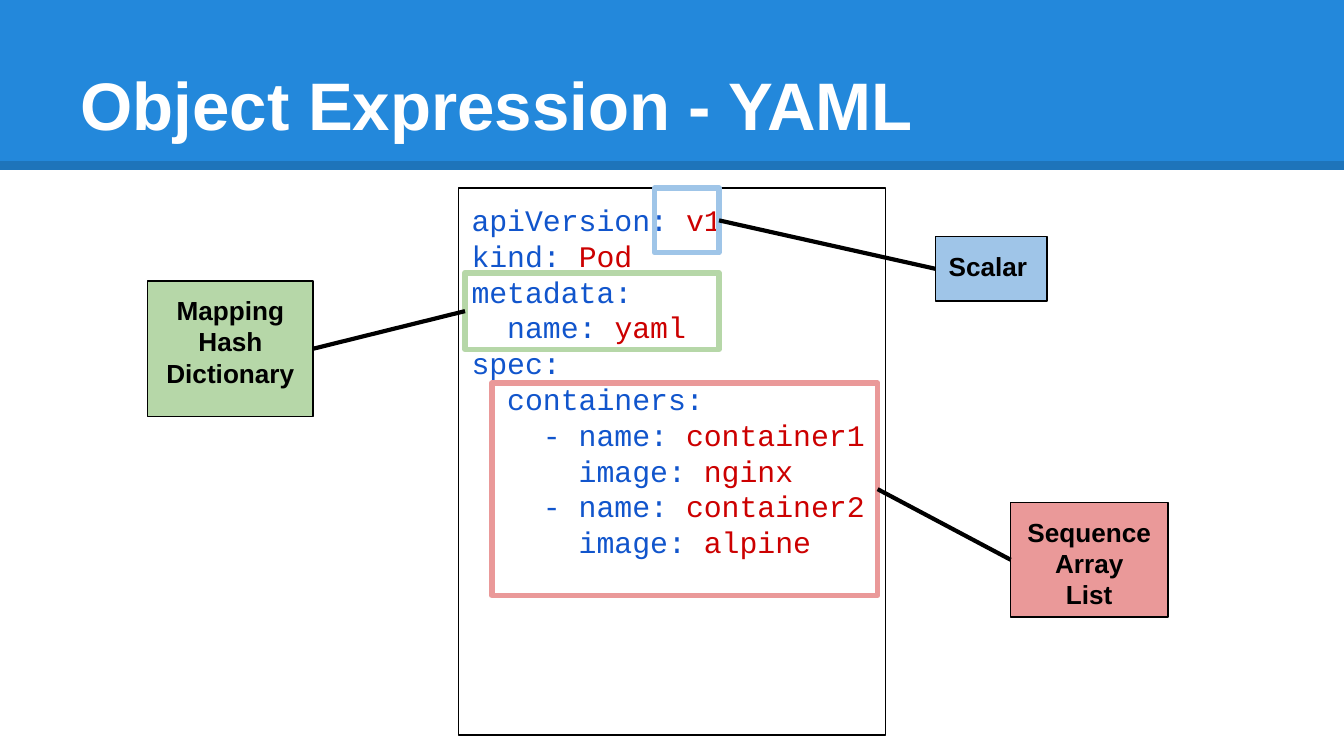
from pptx import Presentation
from pptx.dml.color import RGBColor
from pptx.enum.shapes import MSO_CONNECTOR, MSO_SHAPE
from pptx.enum.text import MSO_ANCHOR, PP_ALIGN
from pptx.oxml.ns import qn
from pptx.util import Inches, Pt
from lxml import etree

RECT, LINE = MSO_SHAPE.RECTANGLE, MSO_CONNECTOR.STRAIGHT
TOP, BOTTOM = MSO_ANCHOR.TOP, MSO_ANCHOR.BOTTOM
LEFT, CENTER = PP_ALIGN.LEFT, PP_ALIGN.CENTER

WHITE = RGBColor(0xFF, 0xFF, 0xFF)
BLACK = RGBColor(0x00, 0x00, 0x00)
BAND = RGBColor(0x23, 0x88, 0xDB)
EDGE = RGBColor(0x1E, 0x74, 0xBA)
BLUE = RGBColor(0x11, 0x55, 0xCC)
RED = RGBColor(0xCC, 0x00, 0x00)
PINK = RGBColor(0xEA, 0x99, 0x99)
GREEN = RGBColor(0xB6, 0xD7, 0xA8)
SKY = RGBColor(0x9F, 0xC5, 0xE8)

WIDE = 10
HIGH = WIDE * 9 / 16
SITE_LEFT, SITE_RIGHT = 1, 3
TITLE = "Object Expression - YAML"
CODE = [
    ("apiVersion: ", "v1"),
    ("kind: ", "Pod"),
    ("metadata:", ""),
    ("  name: ", "yaml"),
    ("spec:", ""),
    ("  containers:", ""),
    ("    - name: ", "container1"),
    ("      image: ", "nginx"),
    ("    - name: ", "container2"),
    ("      image: ", "alpine"),
]
NOTES = [
    dict(text="Sequence\nArray\nList", hue=PINK, align=CENTER,
         frame=(3.66, 2.85, 2.87, 1.58), label=(7.52, 3.74, 1.17, 0.85)),
    dict(text="Mapping\nHash\nDictionary", hue=GREEN, align=CENTER,
         frame=(3.46, 2.03, 1.89, 0.57), label=(1.1, 2.09, 1.23, 1.01)),
    dict(text="Scalar", hue=SKY, align=LEFT,
         frame=(4.87, 1.4, 0.48, 0.48), label=(6.96, 1.76, 0.83, 0.48)),
]


def write(shape, lines, size, font="Arial", bold=False, align=LEFT,
          anchor=TOP):
    frame = shape.text_frame
    frame.word_wrap = True
    frame.vertical_anchor = anchor
    frame.margin_left = frame.margin_right = Inches(0.1)
    frame.margin_top = frame.margin_bottom = Inches(0.1)
    for i, parts in enumerate(lines):
        para = frame.add_paragraph() if i else frame.paragraphs[0]
        para.alignment = align
        para.line_spacing = 1.0
        for text, hue in parts:
            for j, piece in enumerate(text.split("\n")):
                if j:
                    para.add_line_break()
                    etree.SubElement(para._p[-1], qn("a:rPr"),
                                     sz=str(size * 100))
                if piece:
                    run = para.add_run()
                    run.text = piece
                    run.font.name = font
                    run.font.size = Pt(size)
                    run.font.bold = bold
                    run.font.color.rgb = hue


def box(place, fill=None, line=None, weight=0.75):
    shape = slide.shapes.add_shape(RECT, *map(Inches, place))
    shape.shadow.inherit = False
    if fill is None:
        shape.fill.background()
    else:
        shape.fill.solid()
        shape.fill.fore_color.rgb = fill
    if line is None:
        shape.line.fill.background()
    else:
        shape.line.color.rgb = line
        shape.line.width = Pt(weight)
    return shape


def rule(start, end, hue, weight):
    line = slide.shapes.add_connector(LINE, *map(Inches, start + end))
    line.line.color.rgb = hue
    line.line.width = Pt(weight)
    etree.SubElement(line._element.spPr, qn("a:effectLst"))
    return line


deck = Presentation()
deck.slide_width, deck.slide_height = Inches(WIDE), Inches(HIGH)
slide = deck.slides.add_slide(deck.slide_layouts[5])

title = slide.shapes.title
band = box((0, 0, WIDE, 1.26), fill=BAND)
edge = rule((0, 1.23), (WIDE, 1.23), EDGE, 4.5)
for part in (band, edge):
    title._element.addprevious(part._element)
title.left, title.top = Inches(0.5), Inches(0.23)
title.width, title.height = Inches(9), Inches(0.94)
write(title, [[(TITLE, WHITE)]], 36, bold=True, anchor=BOTTOM)

panel = box((3.41, 1.4, 3.18, 4.07), line=BLACK)
write(panel, [[(key, BLUE), (value, RED)] for key, value in CODE],
      16, font="Courier New")

for note in NOTES:
    frame = box(note["frame"], line=note["hue"], weight=3)
    label = box(note["label"], fill=note["hue"], line=BLACK)
    write(label, [[(note["text"], BLACK)]], 14, bold=True,
          align=note["align"])
    ends = (SITE_RIGHT, SITE_LEFT)
    if label.left < frame.left:
        ends = ends[::-1]
    link = rule((0, 0), (1, 1), BLACK, 2.25)
    link.begin_connect(frame, ends[0])
    link.end_connect(label, ends[1])

deck.save("out.pptx")
